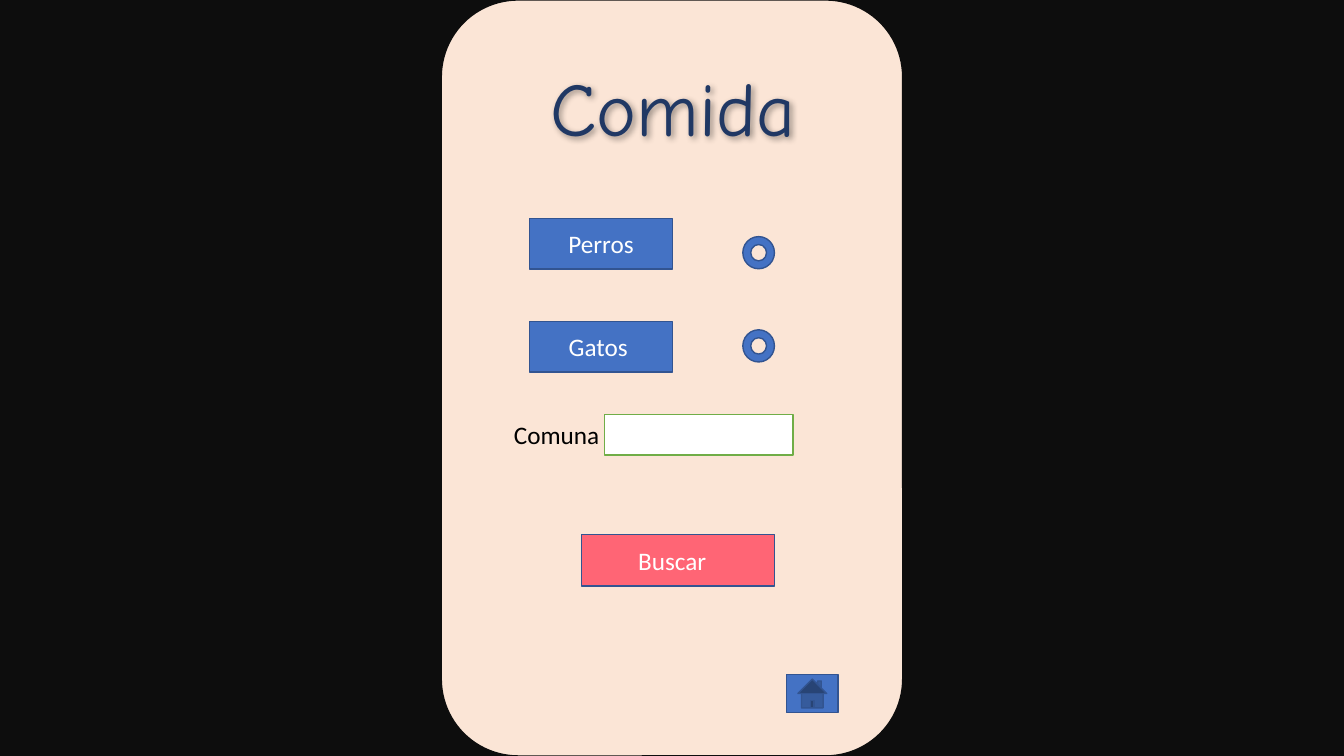
import pptx
import pptx.util
import pptx.dml.color
import pptx.enum.shapes
import pptx.enum.text
import pptx.oxml

Pt = pptx.util.Pt
SHAPE = pptx.enum.shapes.MSO_SHAPE
PP = pptx.enum.text.PP_ALIGN
MSO = pptx.enum.text.MSO_ANCHOR

# Content: positions in points
BLACK, BLUE, EDGE, WHITE = "0D0D0D", "4472C4", "325491", "FFFFFF"
PANEL = (315.2, 0, 329.6, 540)
TITLE = ("Comida ", (380.9, 39.6, 199.4, 72.7))
LABEL = ("Comuna", (360, 295.9, 78.5, 29.1))
FIELD = (432, 296.2, 134.4, 28.8)
OPTIONS = ["Perros", "Gatos "]
OPTION_LEFT, OPTION_TOP, OPTION_STEP = 378.4, 156.2, 73.5
OPTION_SIZE = (101.9, 36)
RADIO_LEFT, RADIO_TOP, RADIO_STEP = 530.6, 169, 66.6
RADIO_SIZE = (22.6, 23)
SEARCH = ("Buscar", (415.4, 381.8, 138, 36.8))
HOME = (561.8, 481.7, 36.9, 27.4)


def rgb(value):
    return pptx.dml.color.RGBColor.from_string(value)


def write(sp, text, size, font, color, align):
    p = sp.text_frame.paragraphs[0]
    p.alignment = align
    r = p.add_run()
    r.text = text
    r.font.size = Pt(size)
    r.font.name = font
    r.font.color.rgb = rgb(color)


def add_shape(kind, box, fill, line, text=None):
    sp = s.shapes.add_shape(kind, *[Pt(v) for v in box])
    sp.shadow.inherit = False
    sp.fill.solid()
    sp.fill.fore_color.rgb = rgb(fill)
    sp.line.color.rgb = rgb(line)
    sp.line.width = Pt(1)
    if text:
        sp.text_frame.vertical_anchor = MSO.MIDDLE
        write(sp, text, 18, "Calibri", WHITE, PP.CENTER)
    return sp


def add_text(text, box, size, font, color, align, wrap):
    sp = s.shapes.add_textbox(*[Pt(v) for v in box])
    sp.text_frame.word_wrap = wrap
    write(sp, text, size, font, color, align)
    return sp


prs = pptx.Presentation()
prs.slide_width, prs.slide_height = Pt(960), Pt(540)
s = prs.slides.add_slide(prs.slide_layouts[6])
s.background.fill.solid()
s.background.fill.fore_color.rgb = rgb(BLACK)

# Phone panel
add_shape(SHAPE.ROUNDED_RECTANGLE, PANEL, "FBE5D6", BLACK)

# Title with a soft shadow
title = add_text(*TITLE, 54, "Comic Neue", "203864", PP.CENTER, False)
title._element.spPr.append(pptx.oxml.parse_xml(
    '<a:effectLst xmlns:a="http://schemas.openxmlformats.org/drawingml/2006/main">'
    '<a:outerShdw blurRad="63500" dist="25400" dir="2700000" algn="tl" rotWithShape="0">'
    '<a:srgbClr val="000000"><a:alpha val="40000"/></a:srgbClr>'
    '</a:outerShdw></a:effectLst>'))

# Search field
add_text(*LABEL, 18, "Calibri", "000000", PP.LEFT, True)
add_shape(SHAPE.RECTANGLE, FIELD, WHITE, "70AD47")

# Options, each with a radio ring
for i, name in enumerate(OPTIONS):
    top = OPTION_TOP + i * OPTION_STEP
    add_shape(SHAPE.ACTION_BUTTON_CUSTOM, (OPTION_LEFT, top, *OPTION_SIZE), BLUE, EDGE, name)
    top = RADIO_TOP + i * RADIO_STEP
    add_shape(SHAPE.DONUT, (RADIO_LEFT, top, *RADIO_SIZE), BLUE, EDGE)

# Search and home buttons
text, box = SEARCH
search = add_shape(SHAPE.ACTION_BUTTON_CUSTOM, box, "FF6575", EDGE, text)
search.text_frame.margin_right = Pt(15.6)
add_shape(SHAPE.ACTION_BUTTON_HOME, HOME, BLUE, EDGE)

prs.save("out.pptx")
